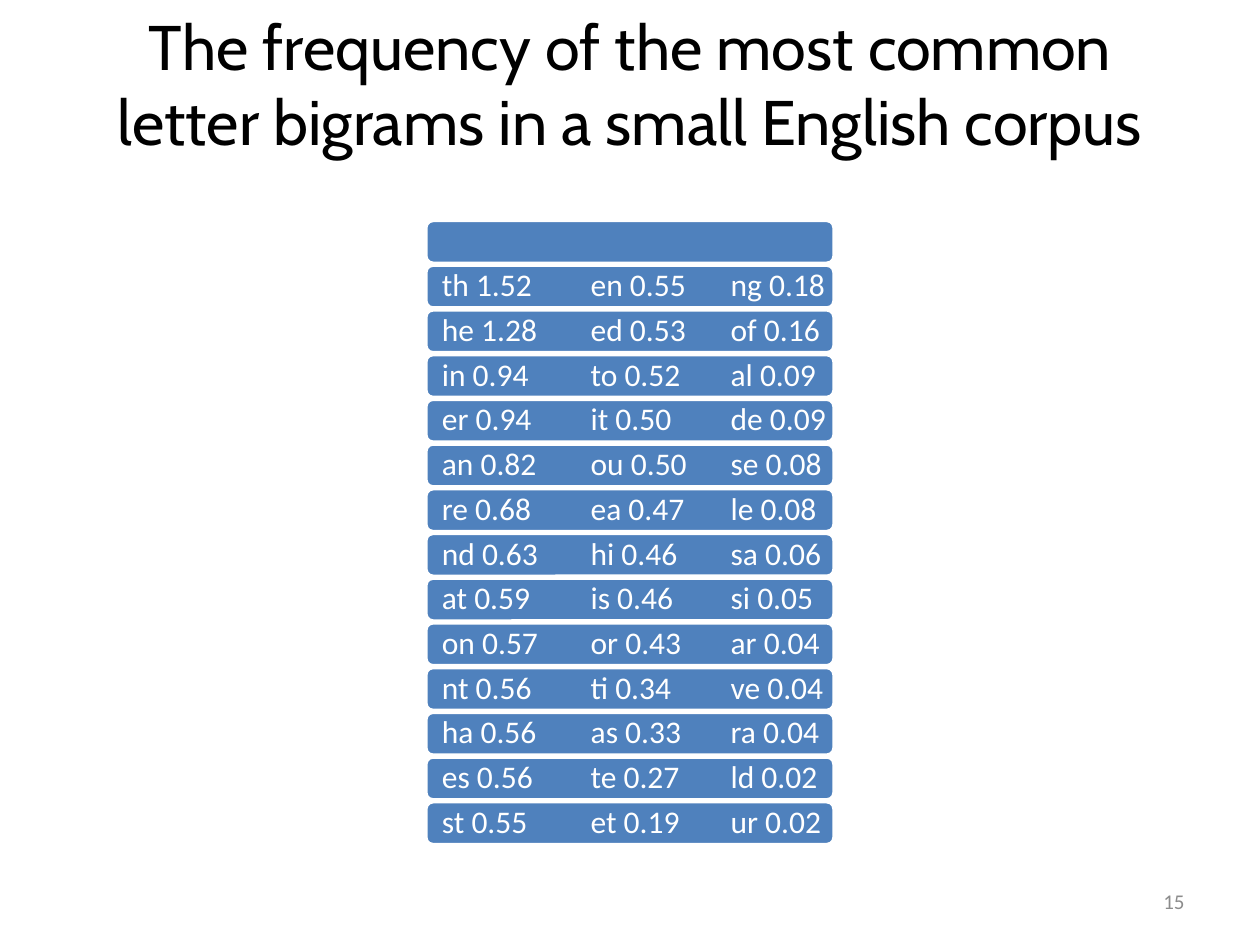
"""Build a slide listing the most common English letter bigrams."""
from dataclasses import dataclass

import lxml.etree
import pptx
import pptx.dml.color
import pptx.enum.shapes
import pptx.enum.text
import pptx.oxml.ns
import pptx.shapes.base
import pptx.text.text
import pptx.util

Pt = pptx.util.Pt
RGBColor = pptx.dml.color.RGBColor
Align = pptx.enum.text.PP_ALIGN
Middle = pptx.enum.text.MSO_ANCHOR.MIDDLE

BLACK = RGBColor(0x00, 0x00, 0x00)
WHITE = RGBColor(0xFF, 0xFF, 0xFF)
BLUE = RGBColor(0x4F, 0x81, 0xBD)
GRAY = RGBColor(0x8C, 0x8C, 0x8C)

BAR_LEFT, BAR_WIDTH, BAR_HEIGHT = 243.36, 233.28, 24.48
FIRST_TOP, PITCH = 126, 25.55
COLUMN_STOPS = (85, 165)


@dataclass(frozen=True)
class BigramRow:
    """Three bigrams with their frequencies."""
    first: str
    second: str
    third: str

    def line(self) -> str:
        """Join the entries with tabs."""
        return "\t".join((self.first, self.second, self.third))


ROWS = (
    BigramRow("th 1.52", "en 0.55", "ng 0.18"),
    BigramRow("he 1.28", "ed 0.53", "of 0.16"),
    BigramRow("in 0.94", "to 0.52", "al 0.09"),
    BigramRow("er 0.94", "it 0.50", "de 0.09"),
    BigramRow("an 0.82", "ou 0.50", "se 0.08"),
    BigramRow("re 0.68", "ea 0.47", "le 0.08"),
    BigramRow("nd 0.63", "hi 0.46", "sa 0.06"),
    BigramRow("at 0.59", "is 0.46", "si 0.05"),
    BigramRow("on 0.57", "or 0.43", "ar 0.04"),
    BigramRow("nt 0.56", "ti 0.34", "ve 0.04"),
    BigramRow("ha 0.56", "as 0.33", "ra 0.04"),
    BigramRow("es 0.56", "te 0.27", "ld 0.02"),
    BigramRow("st 0.55", "et 0.19", "ur 0.02"),
)


def write_text(box: pptx.shapes.base.BaseShape, text: str, font: str, size: float,
               color: RGBColor, align: Align) -> pptx.text.text._Paragraph:
    """Write one formatted, vertically centred paragraph."""
    frame = box.text_frame
    frame.text = text
    frame.word_wrap = True
    frame.vertical_anchor = Middle
    para = frame.paragraphs[0]
    para.alignment = align
    for span in para.runs:
        span.font.name = font
        span.font.size = Pt(size)
        span.font.color.rgb = color
    return para


def add_tab_stops(para: pptx.text.text._Paragraph, stops: tuple[float, ...]) -> None:
    """Give a paragraph left-aligned tab stops."""
    qn = pptx.oxml.ns.qn
    tabs = lxml.etree.SubElement(para._p.get_or_add_pPr(), qn("a:tabLst"))
    for stop in stops:
        lxml.etree.SubElement(tabs, qn("a:tab"), pos=str(Pt(stop)), algn="l")


def add_bar(shapes, top: float) -> pptx.shapes.base.BaseShape:
    """Draw one blue rounded bar."""
    bar = shapes.add_shape(pptx.enum.shapes.MSO_SHAPE.ROUNDED_RECTANGLE,
                           Pt(BAR_LEFT), Pt(top), Pt(BAR_WIDTH), Pt(BAR_HEIGHT))
    bar.shadow.inherit = False
    bar.fill.solid()
    bar.fill.fore_color.rgb = BLUE
    bar.line.color.rgb = WHITE
    bar.line.width = Pt(2)
    return bar


def add_bigrams(bar: pptx.shapes.base.BaseShape, row: BigramRow) -> None:
    """Write a row of bigrams in columns on its bar."""
    para = write_text(bar, row.line(), "Calibri", 18, WHITE, Align.LEFT)
    para.line_spacing = 0.9
    add_tab_stops(para, COLUMN_STOPS)
    frame = bar.text_frame
    frame.margin_left = Pt(8)
    frame.margin_right = Pt(0)
    frame.margin_top = frame.margin_bottom = Pt(2)


def main() -> None:
    """Build and save the deck."""
    deck = pptx.Presentation()
    deck.slide_width, deck.slide_height = Pt(720), Pt(540)
    page = deck.slides.add_slide(deck.slide_layouts[5])

    title = page.shapes.title
    title.left, title.top, title.width, title.height = Pt(36), Pt(21.6), Pt(648), Pt(90)
    write_text(title, "The frequency of the most common letter bigrams in a small English corpus",
               "Cabin", 36, BLACK, Align.CENTER)
    title.text_frame.auto_size = pptx.enum.text.MSO_AUTO_SIZE.NONE
    title.text_frame.margin_bottom = Pt(42)

    bars = page.shapes.add_group_shape().shapes
    add_bar(bars, FIRST_TOP)
    for number, row in enumerate(ROWS, start=1):
        add_bigrams(add_bar(bars, FIRST_TOP + number * PITCH), row)

    page_number = page.shapes.add_textbox(Pt(516), Pt(500.5), Pt(168), Pt(28.75))
    write_text(page_number, "15", "Calibri", 12, GRAY, Align.RIGHT)
    deck.save("out.pptx")


if __name__ == "__main__":
    main()
